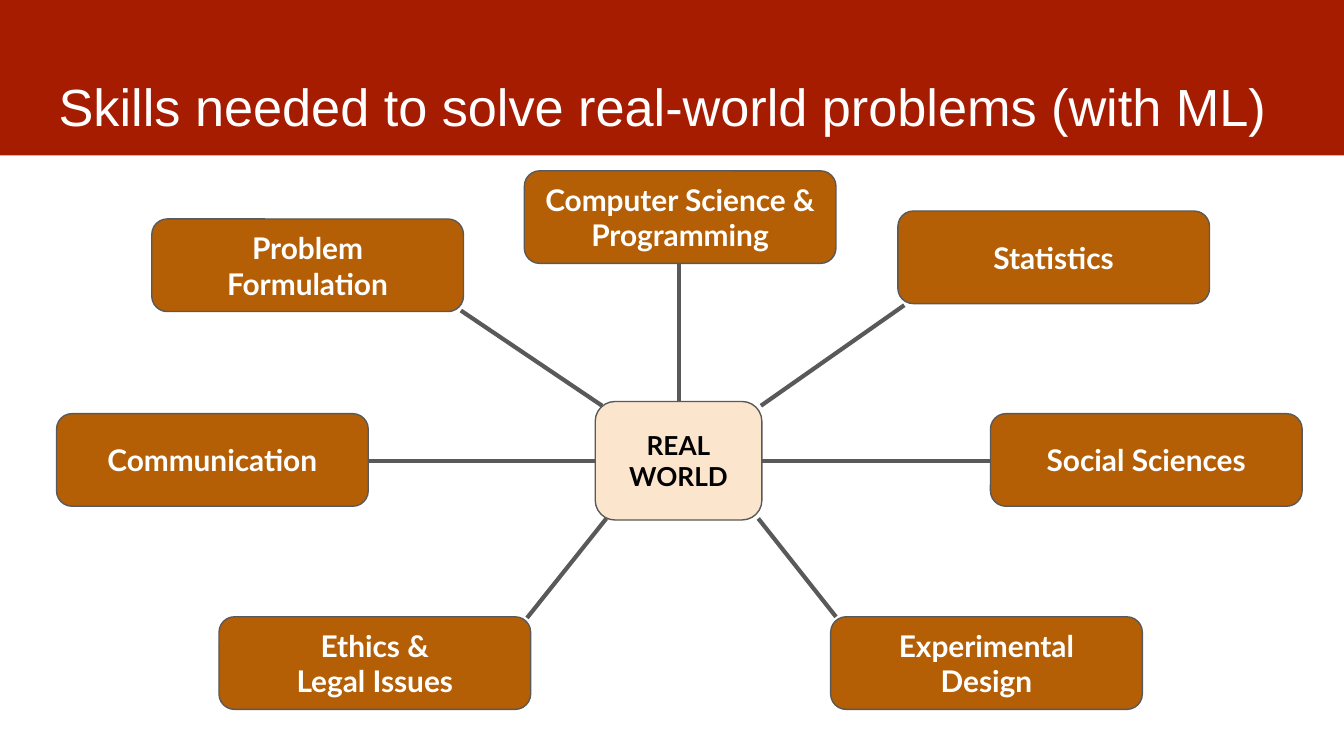
from dataclasses import dataclass

from lxml import etree
from pptx import Presentation
from pptx import util as u
from pptx.dml.color import RGBColor
from pptx.enum import shapes, text
from pptx.oxml import ns
from pptx.shapes.autoshape import Shape
from pptx.slide import Slide

RED = RGBColor(0xA6, 0x1C, 0x00)
BROWN = RGBColor(0xB4, 0x5F, 0x06)
CREAM = RGBColor(0xFC, 0xE5, 0xCD)
GREY = RGBColor(0x59, 0x59, 0x59)
WHITE = RGBColor(0xFF, 0xFF, 0xFF)
BLACK = RGBColor(0x00, 0x00, 0x00)

SKILL_W, SKILL_H = 5.89, 1.75
INSET = u.Cm(0.25)


@dataclass(frozen=True)
class Box:
    lines: tuple[str, ...]
    left: float
    top: float
    width: float = SKILL_W
    height: float = SKILL_H
    fill: RGBColor = BROWN
    color: RGBColor = WHITE
    size: int = 16


@dataclass(frozen=True)
class Spoke:
    x1: float
    y1: float
    x2: float
    y2: float


BOXES = (
    Box(("REAL", "WORLD"), 11.25, 7.59, 3.15, 2.24, CREAM, BLACK, 14),
    Box(("Computer Science &", "Programming"), 9.91, 3.23),
    Box(("Statistics",), 16.97, 3.99),
    Box(("Social Sciences",), 18.72, 7.82),
    Box(("Experimental", "Design"), 15.7, 11.66),
    Box(("Ethics &", "Legal Issues"), 4.14, 11.66),
    Box(("Communication",), 1.07, 7.82),
    Box(("Problem", "Formulation"), 2.87, 4.14),
)

SPOKES = (
    Spoke(12.83, 4.98, 12.83, 7.59),
    Spoke(17.09, 5.77, 14.38, 7.67),
    Spoke(18.72, 8.71, 14.4, 8.71),
    Spoke(15.8, 11.66, 14.33, 9.8),
    Spoke(9.96, 11.68, 11.46, 9.8),
    Spoke(6.96, 8.71, 11.25, 8.71),
    Spoke(8.71, 5.87, 11.38, 7.67),
)


def set_insets(tf: text.MSO_ANCHOR) -> None:
    tf.margin_left = tf.margin_right = INSET
    tf.margin_top = tf.margin_bottom = INSET


def add_filled(s: Slide, kind: shapes.MSO_SHAPE, left: float, top: float,
               width: float, height: float, fill: RGBColor) -> Shape:
    sp = s.shapes.add_shape(kind, u.Cm(left), u.Cm(top), u.Cm(width), u.Cm(height))
    sp.shadow.inherit = False
    sp.fill.solid()
    sp.fill.fore_color.rgb = fill
    return sp


def add_title(s: Slide, title: str) -> None:
    band = add_filled(s, shapes.MSO_SHAPE.RECTANGLE, -0.03, -0.08, 25.45, 3.02, RED)
    band.line.fill.background()
    sp = s.shapes.title
    band._element.addnext(sp._element)
    sp.left, sp.top = u.Cm(0.86), u.Cm(1.24)
    sp.width, sp.height = u.Cm(23.67), u.Cm(1.6)
    tf = sp.text_frame
    tf.auto_size = text.MSO_AUTO_SIZE.NONE
    tf.vertical_anchor = text.MSO_ANCHOR.BOTTOM
    set_insets(tf)
    p = tf.paragraphs[0]
    p.alignment = text.PP_ALIGN.LEFT
    r = p.add_run()
    r.text = title
    r.font.name = "Arial"
    r.font.size = u.Pt(28)
    r.font.color.rgb = WHITE


def add_box(s: Slide, box: Box) -> None:
    sp = add_filled(s, shapes.MSO_SHAPE.ROUNDED_RECTANGLE, box.left, box.top,
                    box.width, box.height, box.fill)
    sp.line.color.rgb = GREY
    sp.line.width = u.Pt(0.75)
    tf = sp.text_frame
    tf.word_wrap = True
    tf.vertical_anchor = text.MSO_ANCHOR.MIDDLE
    set_insets(tf)
    for i, line in enumerate(box.lines):
        p = tf.add_paragraph() if i else tf.paragraphs[0]
        p.alignment = text.PP_ALIGN.CENTER
        r = p.add_run()
        r.text = line
        r.font.name = "Lato"
        r.font.size = u.Pt(box.size)
        r.font.bold = True
        r.font.color.rgb = box.color


def add_spoke(s: Slide, spoke: Spoke) -> None:
    sp = s.shapes.add_connector(shapes.MSO_CONNECTOR.STRAIGHT, u.Cm(spoke.x1),
                                u.Cm(spoke.y1), u.Cm(spoke.x2), u.Cm(spoke.y2))
    sp.line.color.rgb = GREY
    sp.line.width = u.Pt(2.25)
    etree.SubElement(sp._element.spPr, ns.qn("a:effectLst"))


def main() -> None:
    prs = Presentation()
    prs.slide_width, prs.slide_height = u.Cm(25.4), u.Cm(14.29)
    s = prs.slides.add_slide(prs.slide_layouts[5])
    add_title(s, "Skills needed to solve real-world problems (with ML)")
    for box in BOXES:
        add_box(s, box)
    for spoke in SPOKES:
        add_spoke(s, spoke)
    prs.save("out.pptx")


if __name__ == "__main__":
    main()
